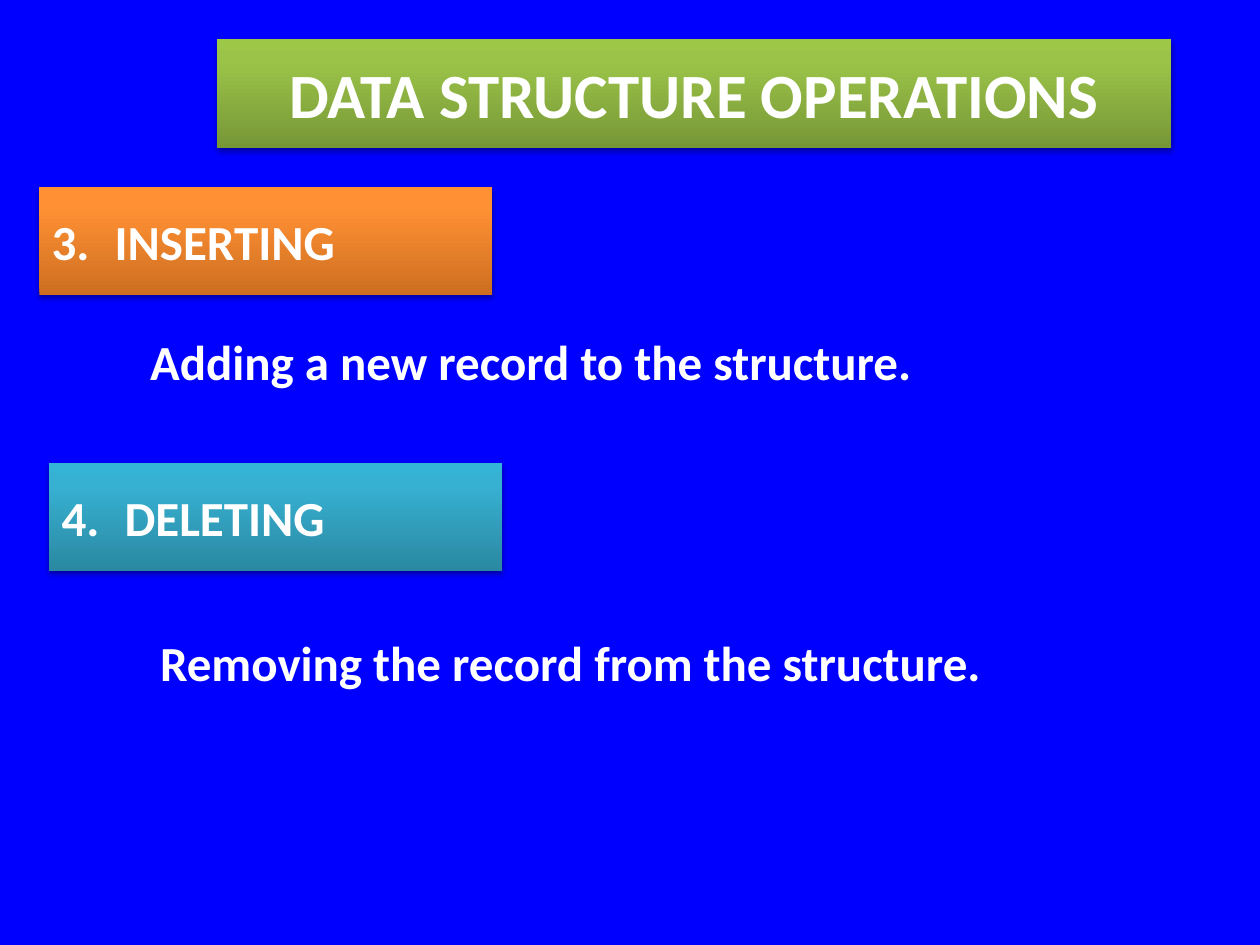
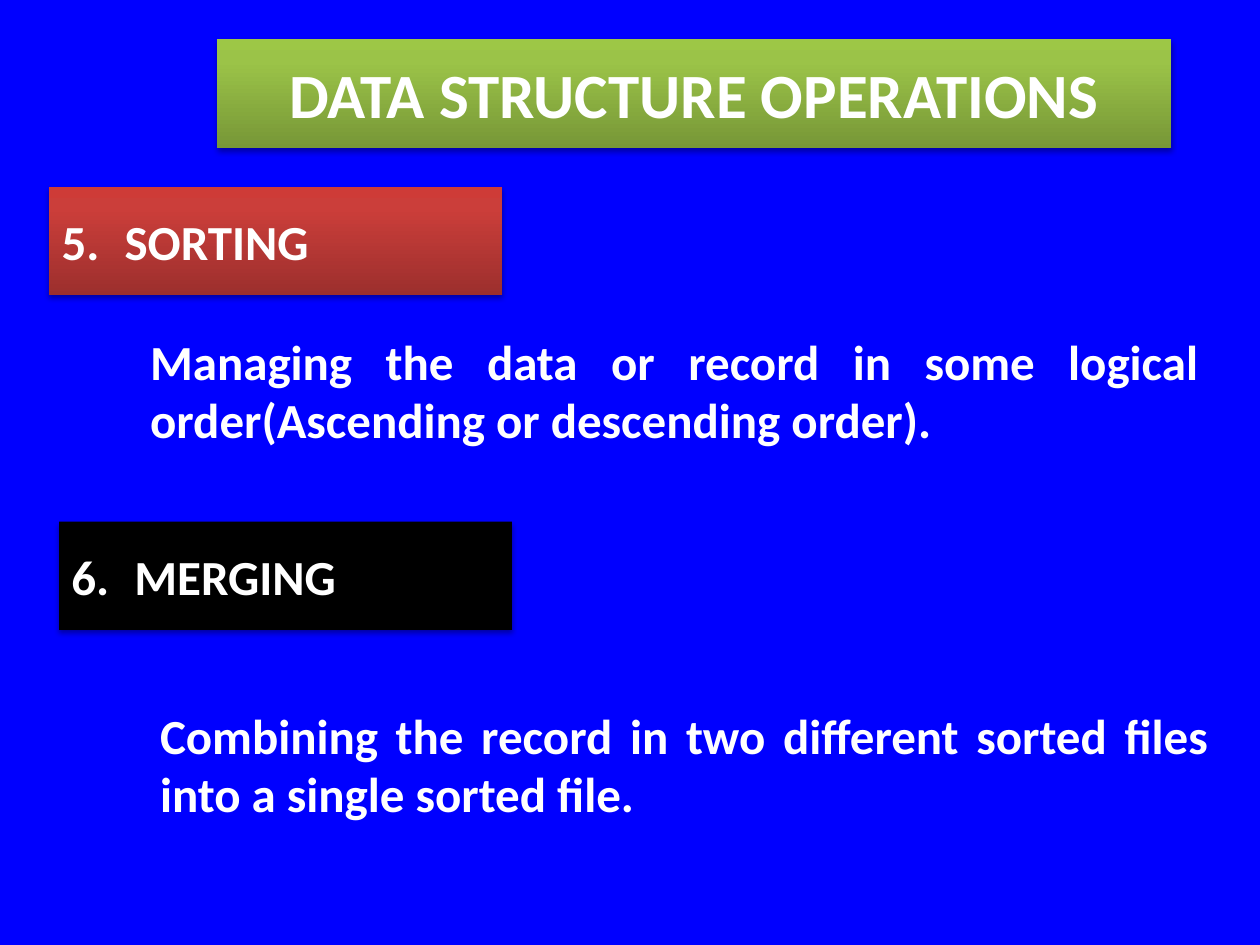
from lxml.etree import SubElement
from pptx import Presentation
from pptx.dml.color import RGBColor
from pptx.enum.shapes import MSO_SHAPE
from pptx.enum.text import MSO_ANCHOR, MSO_AUTO_SIZE, PP_ALIGN
from pptx.oxml.ns import qn
from pptx.util import Inches, Pt

# Colours; each gradient runs from the bottom edge to the top edge
BLUE = RGBColor(0x00, 0x00, 0xFF)
WHITE = RGBColor(0xFF, 0xFF, 0xFF)
BLACK = RGBColor(0x00, 0x00, 0x00)
GREEN = (RGBColor(0x77, 0x97, 0x37), RGBColor(0x9B, 0xC3, 0x48), RGBColor(0x9D, 0xC7, 0x46))
ORANGE = (RGBColor(0xCC, 0x6E, 0x20), RGBColor(0xFF, 0x90, 0x34), RGBColor(0xFF, 0x91, 0x36))
TEAL = (RGBColor(0x2A, 0x88, 0xA2), RGBColor(0x37, 0xB1, 0xD2), RGBColor(0x34, 0xB4, 0xD6))
RED = (RGBColor(0x9C, 0x2F, 0x2D), RGBColor(0xCB, 0x3E, 0x3A), RGBColor(0xCE, 0x3B, 0x37))
STOPS = (0, 80, 100)

# Square grid: 128 columns by 96 rows
COLUMNS, ROWS = 128, 96
BAND_HEIGHT = 11
HEADING_WIDTH = 46
TEXT_WIDTH = 109
LINE_ROWS = 6
PADDING_ROWS = 1.3

TITLE = "DATA STRUCTURE OPERATIONS"

# Per slide: heading (column, row, text, fill), then
# explanation (column, row, lines, text, alignment)
SLIDES = [
    [
        ((4, 19, "3.\tINSERTING", ORANGE),
         (14, 33, 1, "Adding a new record to the structure.", PP_ALIGN.LEFT)),
        ((5, 47, "4.\tDELETING", TEAL),
         (15, 63.6, 1, "Removing the record from the structure.", PP_ALIGN.JUSTIFY)),
    ],
    [
        ((5, 19, "5.\tSORTING", RED),
         (14, 33, 2, "Managing the data or record in some logical "
                     "order(Ascending or descending order).", PP_ALIGN.JUSTIFY)),
        ((6, 53, "6.\tMERGING", BLACK),
         (15, 71, 2, "Combining the record in two different sorted files "
                     "into a single sorted file.", PP_ALIGN.JUSTIFY)),
    ],
]


class SlideBuilder:
    """Holds the shared style and the current slide."""

    font_name = "Calibri"
    title_size = Pt(36)
    text_size = Pt(28)

    def __init__(self):
        self.deck = Presentation()
        self.deck.slide_width = Inches(10)
        self.deck.slide_height = Inches(7.5)
        self.page = None

    def area(self, column, row, width, height):
        across = self.deck.slide_width / COLUMNS
        down = self.deck.slide_height / ROWS
        return (round(column * across), round(row * down),
                round(width * across), round(height * down))

    def new_page(self):
        self.page = self.deck.slides.add_slide(self.deck.slide_layouts[5])
        background = self.page.background.fill
        background.solid()
        background.fore_color.rgb = BLUE

    def set_text(self, box, text, size, alignment, anchor):
        frame = box.text_frame
        frame.word_wrap = True
        frame.vertical_anchor = anchor
        para = frame.paragraphs[0]
        para.alignment = alignment
        span = para.add_run()
        span.text = text
        span.font.name = self.font_name
        span.font.size = size
        span.font.bold = True
        span.font.color.rgb = WHITE

    def paint(self, box, colours):
        if isinstance(colours, RGBColor):
            box.fill.solid()
            box.fill.fore_color.rgb = colours
        else:
            box.fill.gradient()
            box.fill.gradient_angle = 90
            stop_list = box.element.spPr.find(qn("a:gradFill")).find(qn("a:gsLst"))
            for stop in list(stop_list):
                stop_list.remove(stop)
            for position, colour in zip(STOPS, colours):
                stop = SubElement(stop_list, qn("a:gs"), pos=str(position * 1000))
                SubElement(stop, qn("a:srgbClr"), val=str(colour))
        box.line.fill.background()
        self.cast_shadow(box)

    def cast_shadow(self, box):
        box.shadow.inherit = False
        effects = box.element.spPr.find(qn("a:effectLst"))
        shadow = SubElement(effects, qn("a:outerShdw"), blurRad=str(Pt(3.1)),
                            dist=str(Pt(1.8)), dir=str(90 * 60000), rotWithShape="0")
        colour = SubElement(shadow, qn("a:srgbClr"), val=str(BLACK))
        SubElement(colour, qn("a:alpha"), val="35000")

    def title(self, text):
        box = self.page.shapes.title
        box.left, box.top, box.width, box.height = self.area(22, 4, 97, BAND_HEIGHT)
        self.paint(box, GREEN)
        self.set_text(box, text, self.title_size, PP_ALIGN.CENTER, MSO_ANCHOR.MIDDLE)
        box.text_frame.auto_size = MSO_AUTO_SIZE.NONE

    def heading(self, column, row, text, colours):
        box = self.page.shapes.add_shape(
            MSO_SHAPE.RECTANGLE, *self.area(column, row, HEADING_WIDTH, BAND_HEIGHT))
        self.paint(box, colours)
        self.set_text(box, text, self.text_size, PP_ALIGN.LEFT, MSO_ANCHOR.MIDDLE)

    def explanation(self, column, row, lines, text, alignment):
        height = lines * LINE_ROWS + PADDING_ROWS
        box = self.page.shapes.add_textbox(*self.area(column, row, TEXT_WIDTH, height))
        self.set_text(box, text, self.text_size, alignment, MSO_ANCHOR.TOP)
        box.text_frame.auto_size = MSO_AUTO_SIZE.SHAPE_TO_FIT_TEXT


def main():
    builder = SlideBuilder()
    for operations in SLIDES:
        builder.new_page()
        builder.title(TITLE)
        for heading, explanation in operations:
            builder.heading(*heading)
            builder.explanation(*explanation)
    builder.deck.save("out.pptx")


if __name__ == "__main__":
    main()
